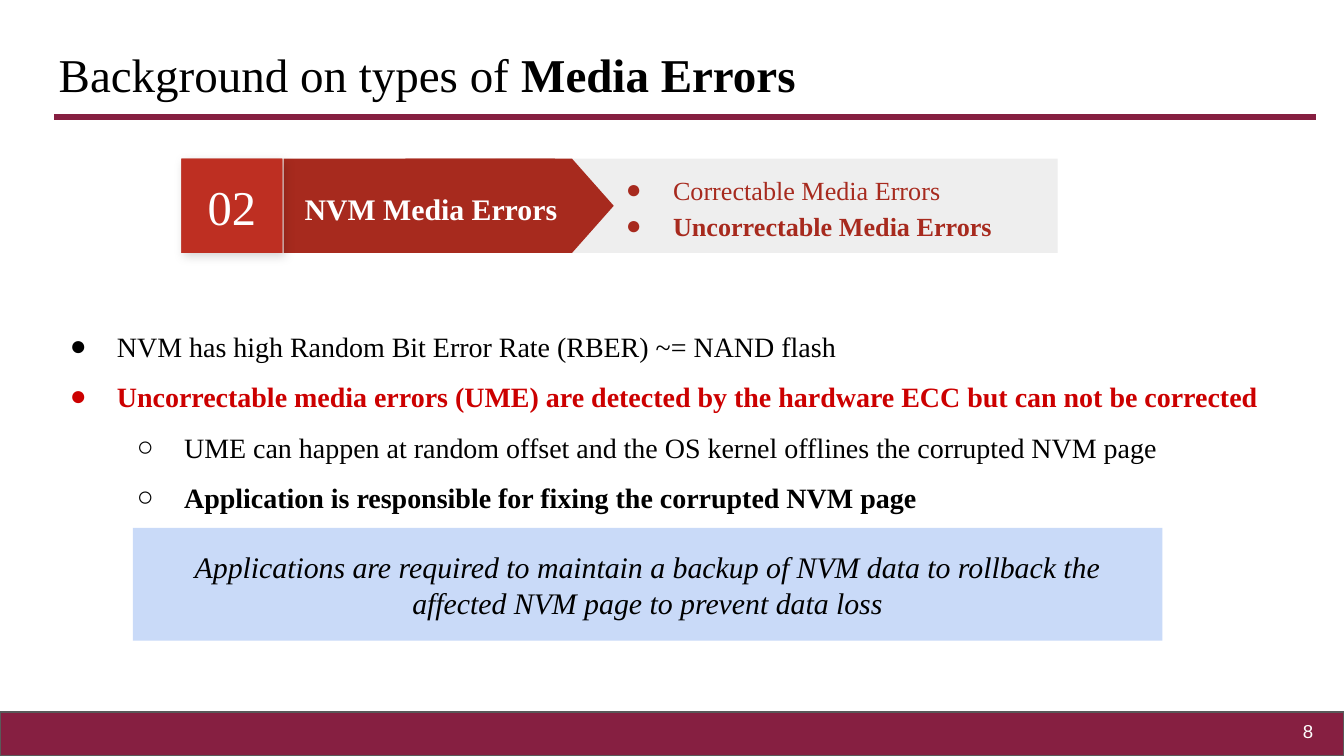
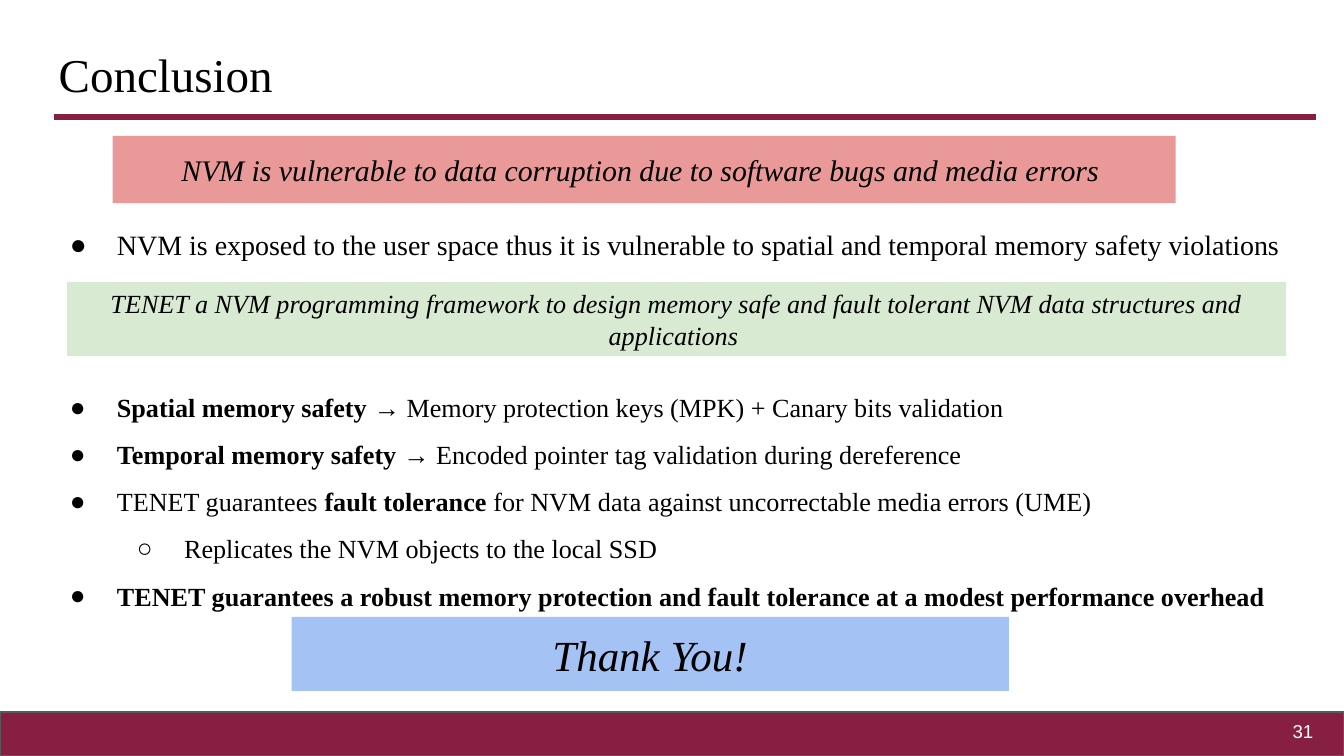
"""Build two slides on memory media errors: the background and the conclusion."""
import pptx
import pptx.dml.color
import pptx.enum.shapes
import pptx.enum.text
import pptx.oxml.ns
import pptx.util
from lxml import etree

Cm = pptx.util.Cm
Pt = pptx.util.Pt
RGBColor = pptx.dml.color.RGBColor
SHAPE = pptx.enum.shapes.MSO_SHAPE
ALIGN = pptx.enum.text.PP_ALIGN
ANCHOR = pptx.enum.text.MSO_ANCHOR
qn = pptx.oxml.ns.qn

SERIF, SANS = "Times New Roman", "Arial"
BLACK = RGBColor(0x00, 0x00, 0x00)
WHITE = RGBColor(0xFF, 0xFF, 0xFF)
MAROON = RGBColor(0x86, 0x1F, 0x41)
GRAY = RGBColor(0x59, 0x59, 0x59)
PALE_GRAY = RGBColor(0xEE, 0xEE, 0xEE)
BRICK = RGBColor(0xA7, 0x2A, 0x1E)
SHADOWED_RED = RGBColor(0xB0, 0x2C, 0x20)
BRIGHT_BRICK = RGBColor(0xBE, 0x2F, 0x22)
ALERT_RED = RGBColor(0xCC, 0x00, 0x00)
PALE_BLUE = RGBColor(0xC9, 0xDA, 0xF8)
BLUE = RGBColor(0xA4, 0xC2, 0xF4)
PINK = RGBColor(0xEA, 0x99, 0x99)
PALE_GREEN = RGBColor(0xD9, 0xEA, 0xD3)

WIDTH, HEIGHT = 25.4, 14.29
FOOTER_TOP = 13.46
BANNER_TOP, BANNER_HEIGHT = 3.0, 1.78
BULLETS = "●○"
INDENT, HANGING = 1.27, 0.89

# Doubled asterisks enclose bold words; a bullet is (level, text[, color]).
BANNER = {
    "number": "02",
    "label": "**NVM Media Errors**",
    "kinds": [(0, "Correctable Media Errors"), (0, "**Uncorrectable Media Errors**")],
}
SLIDES = [
    {
        "title": "Background on types of **Media Errors**",
        "number": "8",
        "banner": BANNER,
        "lists": [
            ((0.69, 5.66, 24.13, 4.04), 15, 1.5, [
                (0, "NVM has high Random Bit Error Rate (RBER) ~= NAND flash"),
                (0, "**Uncorrectable media errors (UME) are detected by the hardware ECC "
                    "but can not be corrected**", ALERT_RED),
                (1, "UME can happen at random offset and the OS kernel offlines the "
                    "corrupted NVM page"),
                (1, "**Application is responsible for fixing the corrupted NVM page**"),
            ]),
        ],
        "callouts": [
            ((2.51, 9.98, 19.46, 2.13), PALE_BLUE, 16,
             "Applications are required to maintain a backup of NVM data to rollback the "
             "affected NVM page to prevent data loss"),
        ],
    },
    {
        "title": "Conclusion",
        "number": "31",
        "lists": [
            ((0.69, 4.06, 24, 1.14), 15, 1.0, [
                (0, "NVM is exposed to the user space thus it is vulnerable to spatial and "
                    "temporal memory safety violations"),
            ]),
            ((0.69, 6.86, 23.67, 4.7), 14, 1.5, [
                (0, "**Spatial memory safety** → Memory protection keys (MPK) + Canary bits "
                    "validation"),
                (0, "**Temporal memory safety** → Encoded pointer tag validation during "
                    "dereference"),
                (0, "TENET guarantees **fault tolerance** for NVM data against "
                    "uncorrectable media errors (UME)"),
                (1, "Replicates the NVM objects to the local SSD"),
                (0, "**TENET guarantees a robust memory protection and fault tolerance at a "
                    "modest performance overhead**"),
            ]),
        ],
        "callouts": [
            ((5.51, 11.66, 13.56, 1.4), BLUE, 23, "Thank You!"),
            ((2.13, 2.57, 20.09, 1.27), PINK, 16,
             "NVM is vulnerable to data corruption due to software bugs and media errors "),
            ((1.27, 5.33, 23.04, 1.4), PALE_GREEN, 14,
             "TENET a NVM programming framework to design memory safe and fault tolerant "
             "NVM data structures and applications "),
        ],
    },
]


def add_bullet(paragraph, level, color):
    properties = paragraph._p.get_or_add_pPr()
    properties.set("marL", str(Cm(INDENT * (level + 1))))
    properties.set("indent", str(-Cm(HANGING)))
    paragraph.level = level
    bullet_color = etree.SubElement(properties, qn("a:buClr"))
    etree.SubElement(bullet_color, qn("a:srgbClr"), val=str(color))
    etree.SubElement(properties, qn("a:buFont"), typeface=SERIF)
    etree.SubElement(properties, qn("a:buChar"), char=BULLETS[level])


def write(shape, text, size=14, font=SERIF, color=BLACK, italic=False,
          align=ALIGN.LEFT, anchor=ANCHOR.MIDDLE, spacing=1.0):
    """Fill a shape with one string or with a list of bullets."""
    frame = shape.text_frame
    frame.word_wrap = True
    frame.vertical_anchor = anchor
    frame.margin_left = frame.margin_right = Cm(0.25)
    frame.margin_top = frame.margin_bottom = Cm(0.25)
    items = [(None, text)] if isinstance(text, str) else text
    for index, (level, words, *own_color) in enumerate(items):
        paragraph = frame.add_paragraph() if index else frame.paragraphs[0]
        paragraph.alignment = align
        paragraph.line_spacing = spacing
        ink = own_color[0] if own_color else color
        if level is not None:
            add_bullet(paragraph, level, ink)
        for position, part in enumerate(words.split("**")):
            if part:
                run = paragraph.add_run()
                run.text = part
                run.font.name = font
                run.font.size = Pt(size)
                run.font.bold = position % 2 == 1
                run.font.italic = italic
                run.font.color.rgb = ink


def add_text(shapes, box, text, **text_format):
    write(shapes.add_textbox(*map(Cm, box)), text, **text_format)


def add_block(shapes, box, fill, kind=SHAPE.RECTANGLE):
    shape = shapes.add_shape(kind, *map(Cm, box))
    shape.shadow.inherit = False
    shape.fill.solid()
    shape.fill.fore_color.rgb = fill
    shape.line.fill.background()
    return shape


def add_shadow(shape):
    effects = shape._element.spPr.find(qn("a:effectLst"))
    shadow = etree.SubElement(effects, qn("a:outerShdw"), blurRad=str(Pt(5.6)),
                              dist=str(Pt(2.2)), dir=str(45 * 60000))
    color = etree.SubElement(shadow, qn("a:srgbClr"), val=str(BLACK))
    etree.SubElement(color, qn("a:alpha"), val="17000")


def add_frame(shapes, title, number):
    footer = add_block(shapes, (0, FOOTER_TOP, WIDTH, HEIGHT - FOOTER_TOP), MAROON)
    footer.line.color.rgb = GRAY
    footer.line.width = Pt(0.75)
    rule = shapes.add_connector(pptx.enum.shapes.MSO_CONNECTOR.STRAIGHT,
                                *map(Cm, (1.02, 2.21, 24.87, 2.21)))
    rule.line.color.rgb = MAROON
    rule.line.width = Pt(3)
    etree.SubElement(rule._element.spPr, qn("a:effectLst"))
    add_text(shapes, (0.86, 0.61, 23.67, 1.6), title, size=25.2, anchor=ANCHOR.TOP)
    add_text(shapes, (23.55, 13.28, 1.52, 1.09), number, size=10, font=SANS,
             color=WHITE, align=ALIGN.RIGHT)


def add_banner(shapes, number, label, kinds):
    def row(left, width):
        return left, BANNER_TOP, width, BANNER_HEIGHT

    add_block(shapes, row(9.37, 10.62), PALE_GRAY)
    add_block(shapes, row(5.36, 5.13), BRICK)
    arrow = add_block(shapes, (8.74, 1.92, BANNER_HEIGHT, 3.94), BRICK,
                      SHAPE.FLOWCHART_OFFPAGE_CONNECTOR)
    arrow.rotation = 270
    add_text(shapes, (5.51, 3.2, 5.38, 1.37), label, size=16, color=WHITE, spacing=1.15)
    add_shadow(add_block(shapes, row(3.43, 1.91), SHADOWED_RED))
    write(add_block(shapes, row(3.43, 1.91), BRIGHT_BRICK), number, size=26,
          color=WHITE, align=ALIGN.CENTER)
    add_text(shapes, row(11.2, 8.26), kinds, color=BRICK, spacing=1.15)


def main():
    presentation = pptx.Presentation()
    presentation.slide_width = Cm(WIDTH)
    presentation.slide_height = Cm(HEIGHT)
    for content in SLIDES:
        shapes = presentation.slides.add_slide(presentation.slide_layouts[6]).shapes
        add_frame(shapes, content["title"], content["number"])
        if "banner" in content:
            add_banner(shapes.add_group_shape().shapes, **content["banner"])
        for box, size, spacing, bullets in content["lists"]:
            add_text(shapes, box, bullets, size=size, spacing=spacing, anchor=ANCHOR.TOP)
        for box, fill, size, text in content["callouts"]:
            write(add_block(shapes, box, fill), text, size=size, italic=True,
                  align=ALIGN.CENTER)
    presentation.save("out.pptx")


if __name__ == "__main__":
    main()
